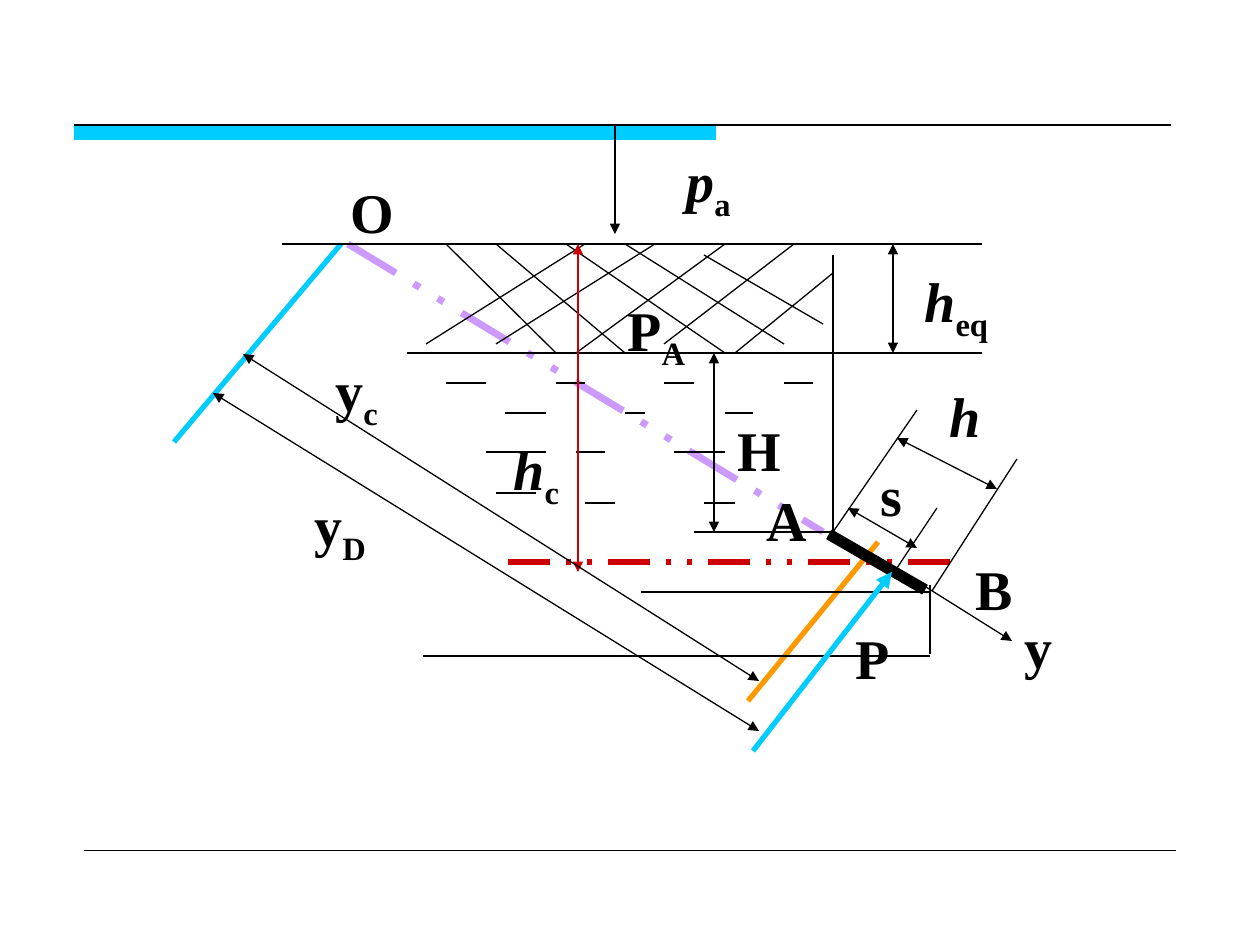
"""Draw the pressure diagram of an inclined gate below two liquid layers."""
from lxml.etree import SubElement
from pptx import Presentation
from pptx.dml.color import RGBColor
from pptx.enum.dml import MSO_LINE
from pptx.enum.shapes import MSO_CONNECTOR, MSO_SHAPE
from pptx.enum.text import MSO_ANCHOR, MSO_AUTO_SIZE
from pptx.oxml.ns import qn
from pptx.util import Pt

SCALE = 914400 / 126
FONT = "Times New Roman"
COLORS = {"black": "000000", "cyan": "00CCFF", "red": "CC0000",
          "orange": "FF9900", "violet": "CC99FF"}

SURFACE, INTERFACE = 244, 353
HATCH_END = 344

RULES = [((74, 125, 1171, 125), 1), ((84, 850, 1176, 850), 0.25)]
AXES = [((508, 562, 964, 562), "red", 3), ((348, SURFACE, 823, 532), "violet", 4)]
GUIDES = [((341, SURFACE, 174, 442), "cyan", 3), ((878, 542, 748, 701), "orange", 3)]
OUTLINES = [
    (282, SURFACE, 982, SURFACE), (407, INTERFACE, 982, INTERFACE),
    (833, 255, 833, 542), (833, 532, 694, 532),
    (423, 656, 930, 656), (930, 654, 930, 585), (930, 592, 641, 592),
    (833, 532, 917, 410), (932, 591, 1017, 459), (897, 568, 937, 508),
]
HATCHING = [
    (625, SURFACE, 784, HATCH_END), (704, 255, 823, 324),
    (566, SURFACE, 725, INTERFACE), (496, SURFACE, 625, INTERFACE),
    (446, SURFACE, 556, INTERFACE), (426, HATCH_END, 585, SURFACE),
    (496, HATCH_END, 655, SURFACE), (576, INTERFACE, 725, SURFACE),
    (664, HATCH_END, 794, SURFACE), (735, INTERFACE, 833, 273),
]
LIQUID_DASHES = {
    383: [(446, 486), (556, 585), (664, 694), (784, 813)],
    413: [(505, 546), (625, 645), (725, 753)],
    452: [(486, 546), (576, 605), (674, 725)],
    493: [(496, 536)],
    503: [(585, 615), (704, 735)],
}
DIMENSIONS = [
    ((578, SURFACE, 578, 572), "red"),
    ((213, 393, 759, 731), "black"), ((243, 354, 759, 681), "black"),
    ((714, INTERFACE, 714, 532), "black"), ((893, SURFACE, 893, INTERFACE), "black"),
    ((897, 438, 997, 489), "black"), ((848, 508, 917, 548), "black"),
]
ARROWS = [((615, 125, 615, 234), "black", 0.75), ((902, 572, 1012, 641), "black", 0.75),
          ((753, 751, 892, 572), "cyan", 3)]
LABELS = [
    ("h", "c", True, (501, 423, 76)), ("y", "D", False, (302, 479, 149)),
    ("y", "c", False, (323, 344, 110)), ("y", "", False, (1012, 601, 79)),
    ("A", "", False, (754, 473, 69)), ("B", "", False, (963, 542, 110)),
    ("h", "", True, (937, 369, 59)), ("H", "", False, (725, 403, 79)),
    ("O", "", False, (338, 165, 84)), ("P", "A", False, (615, 284, 149)),
    ("P", "", False, (843, 611, 79)), ("p", "a", True, (674, 135, 120)),
    ("h", "eq", True, (912, 255, 118)), ("s", "", False, (868, 449, 49)),
]


def px(value):
    return round(value * SCALE)


def color(name):
    return RGBColor.from_string(COLORS[name])


def add_line(slide, ends, name="black", width=0.75, dashed=False, heads=()):
    line = slide.shapes.add_connector(MSO_CONNECTOR.STRAIGHT, *map(px, ends))
    line.line.color.rgb = color(name)
    line.line.width = Pt(width)
    if dashed:
        line.line.dash_style = MSO_LINE.DASH_DOT_DOT
    properties = line._element.spPr
    for head in heads:
        SubElement(properties.get_or_add_ln(), qn(f"a:{head}"), type="triangle")
    SubElement(properties, qn("a:effectLst"))


def add_bar(slide, frame, name, outlined=False, rotation=0):
    bar = slide.shapes.add_shape(MSO_SHAPE.RECTANGLE, *map(px, frame))
    bar.shadow.inherit = False
    bar.rotation = rotation
    bar.fill.solid()
    bar.fill.fore_color.rgb = color(name)
    if outlined:
        bar.line.color.rgb = color(name)
        bar.line.width = Pt(0.75)
    else:
        bar.line.fill.background()


def add_label(slide, symbol, subscript, italic, place):
    left, top, width = place
    height = 89 if subscript else 81
    box = slide.shapes.add_textbox(px(left), px(top), px(width), px(height))
    frame = box.text_frame
    frame.word_wrap = True
    frame.auto_size = MSO_AUTO_SIZE.NONE
    frame.vertical_anchor = MSO_ANCHOR.TOP
    frame.margin_top, frame.margin_bottom = px(12), px(4)
    para = frame.paragraphs[0]
    for text in filter(None, (symbol, subscript)):
        span = para.add_run()
        span.text = text
        span.font.name = FONT
        span.font.size = Pt(32)
        span.font.bold = True
        span.font.color.rgb = color("black")
    para.runs[0].font.italic = italic
    if subscript:
        para.runs[1]._r.get_or_add_rPr().set("baseline", "-25000")


def main():
    deck = Presentation()
    deck.slide_width, deck.slide_height = px(1260), px(945)
    slide = deck.slides.add_slide(deck.slide_layouts[6])

    add_bar(slide, (74, 125, 642, 15), "cyan")
    for ends, width in RULES:
        add_line(slide, ends, width=width)
    for ends, name, width in GUIDES:
        add_line(slide, ends, name, width)
    for ends, name, width in AXES:
        add_line(slide, ends, name, width, dashed=True)
    dashes = [(start, y, end, y) for y, row in LIQUID_DASHES.items() for start, end in row]
    for ends in OUTLINES + HATCHING + dashes:
        add_line(slide, ends)
    add_bar(slide, (872, 507, 10, 110), "black", outlined=True, rotation=300)
    for ends, name in DIMENSIONS:
        add_line(slide, ends, name, heads=("headEnd", "tailEnd"))
    for ends, name, width in ARROWS:
        add_line(slide, ends, name, width, heads=("tailEnd",))
    for label in LABELS:
        add_label(slide, *label)
    deck.save("out.pptx")


if __name__ == "__main__":
    main()
